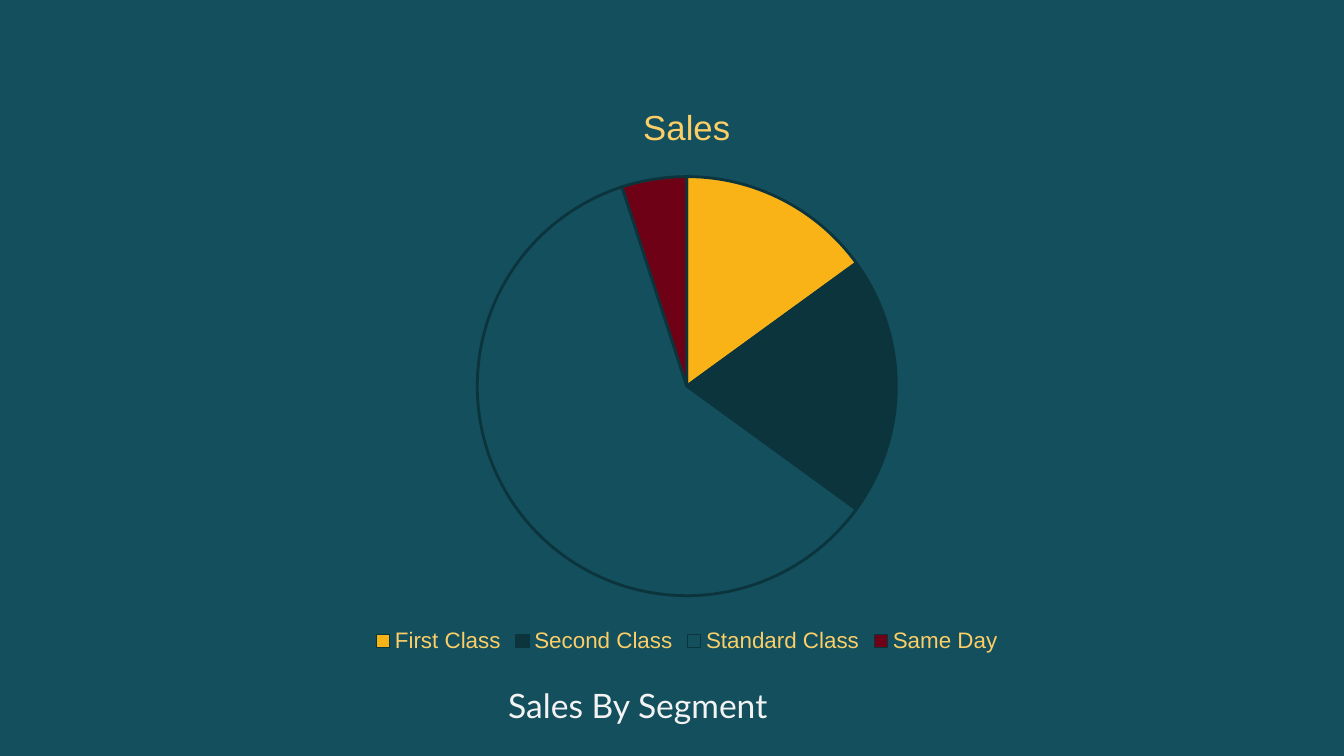
from pptx import Presentation
from pptx.chart.data import CategoryChartData
from pptx.dml.color import RGBColor
from pptx.enum.chart import XL_CHART_TYPE, XL_LEGEND_POSITION
from pptx.enum.text import MSO_ANCHOR, PP_ALIGN
from pptx.util import Pt

PIE = XL_CHART_TYPE.PIE
BELOW = XL_LEGEND_POSITION.BOTTOM
LOW = MSO_ANCHOR.BOTTOM
MID = PP_ALIGN.CENTER

HUES = {
    "teal": "134F5C",
    "dark": "0C343D",
    "gold": "F9B317",
    "sand": "FBCE68",
    "wine": "6F0116",
    "pale": "F3F3F3",
}
SALES = [
    ("First Class", 15, "gold"),
    ("Second Class", 20, "dark"),
    ("Standard Class", 60, "teal"),
    ("Same Day", 5, "wine"),
]


def rgb(name):
    return RGBColor.from_string(HUES[name])


def style(font, face, size, hue):
    for key, val in {"name": face, "size": Pt(size), "bold": False}.items():
        setattr(font, key, val)
    font.color.rgb = rgb(hue)


deck = Presentation()
deck.slide_width, deck.slide_height = Pt(720), Pt(405)
slide = deck.slides.add_slide(deck.slide_layouts[5])
back = slide.background.fill
back.solid()
back.fore_color.rgb = rgb("teal")

# Title, set below the chart
title = slide.shapes.title
place = {"left": 19.5, "top": 35.3, "width": 644.4, "height": 360.7}
for key, val in place.items():
    setattr(title, key, Pt(val))
frame = title.text_frame
frame.word_wrap = True
frame.vertical_anchor = LOW
for side in ("left", "top", "right", "bottom"):
    setattr(frame, f"margin_{side}", Pt(7.2))
frame.text = "Sales By Segment"
line = frame.paragraphs[0]
line.alignment = MID
style(line.runs[0].font, "Lato", 18, "pale")

# Pie chart
data = CategoryChartData()
data.categories = [name for name, _, _ in SALES]
data.add_series("Sales", [val for _, val, _ in SALES])
chart = slide.shapes.add_chart(
    PIE, Pt(34.6), Pt(42.5), Pt(666.7), Pt(310.3), data).chart
style(chart.font, "Arial", 10, "gold")

chart.has_title = True
head = chart.chart_title
head.include_in_layout = False
head.text_frame.text = "Sales"
style(head.text_frame.paragraphs[0].runs[0].font, "Arial", 18.6, "sand")

chart.has_legend = True
chart.legend.position = BELOW
chart.legend.include_in_layout = False
style(chart.legend.font, "Arial", 12, "sand")

plot = chart.plots[0]
plot.vary_by_categories = True
for i, (_, _, hue) in enumerate(SALES):
    look = plot.series[0].points[i].format
    look.fill.solid()
    look.fill.fore_color.rgb = rgb(hue)
    look.line.color.rgb = rgb("dark")
    look.line.width = Pt(1.5)

deck.save("out.pptx")
